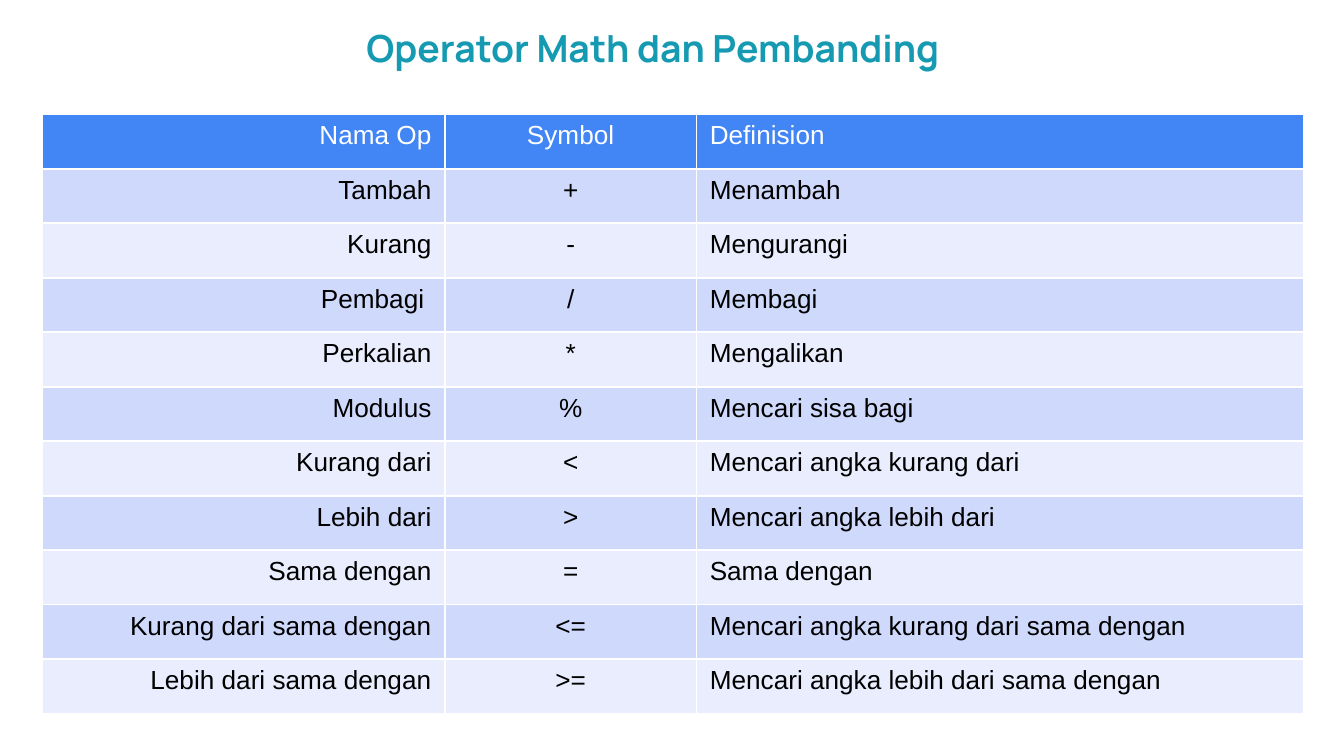
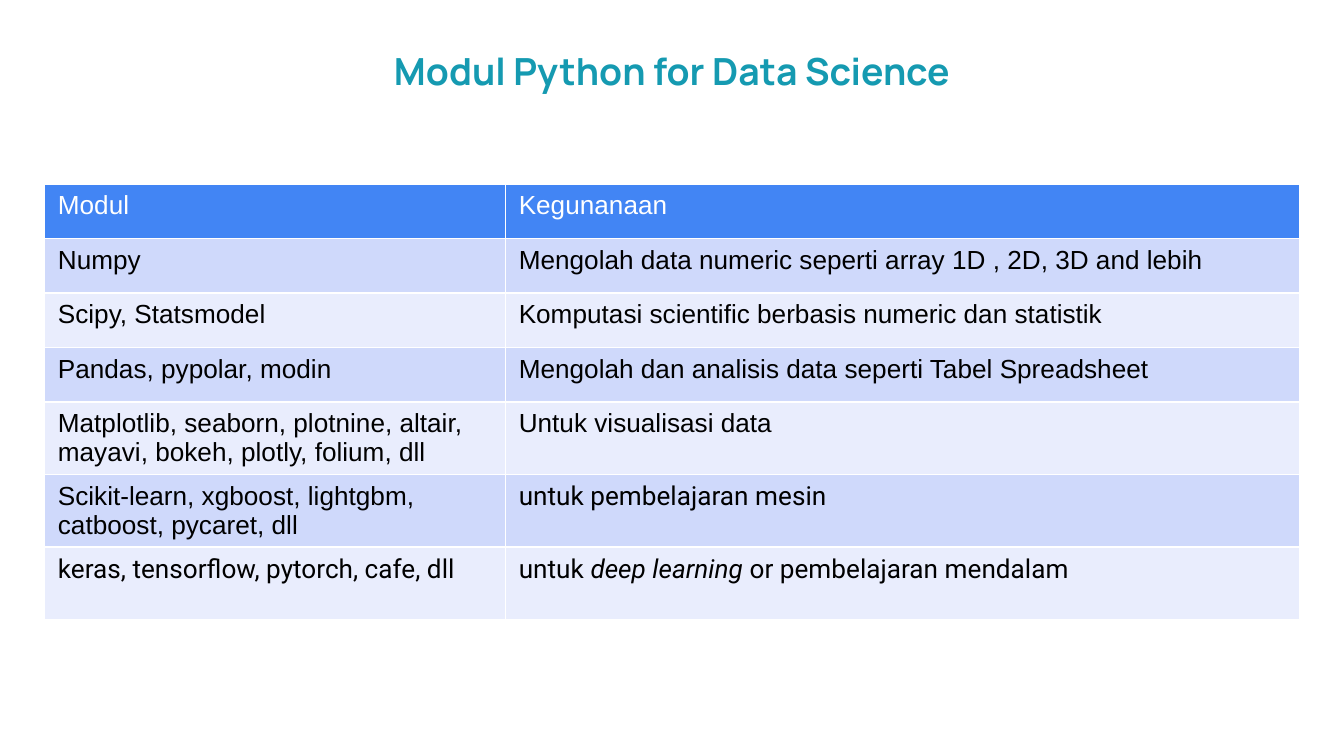
"""Build two slides of Python reference tables."""
from pptx import Presentation
from pptx import util as u
from pptx.dml.color import RGBColor
from pptx.enum import text
from pptx.oxml import parse_xml
from pptx.oxml.ns import nsdecls

THEME = {
    "teal": RGBColor.from_string("159AB1"),
    "white": RGBColor.from_string("FFFFFF"),
    "black": RGBColor.from_string("000000"),
    "header": RGBColor.from_string("4285F4"),
    "bands": [RGBColor.from_string("CFD9FB"), RGBColor.from_string("E9EDFD")],
    "title_font": "Manrope",
    "body_font": "Arial",
    "alt_font": "Roboto",
    "title_size": u.Pt(20),
    "body_size": u.Pt(14),
    "border": u.Pt(1),
}
LEFT, CENTER, RIGHT = text.PP_ALIGN.LEFT, text.PP_ALIGN.CENTER, text.PP_ALIGN.RIGHT
ALT = {"name": THEME["alt_font"]}
ALT_ITALIC = {**ALT, "italic": True}
ROW, TALL_ROW = 1.03, 1.37

SLIDES = [
    {
        "title": "Operator Math dan Pembanding",
        "title_at": (5.38, 0.38),
        "table_at": (0.79, 2.16),
        "widths": [7.62, 4.75, 11.48],
        "heights": [ROW] * 11,
        "aligns": [RIGHT, CENTER, LEFT],
        "rows": [
            ["Nama Op", "Symbol", "Definision"],
            ["Tambah", "+", "Menambah"],
            ["Kurang", "-", "Mengurangi"],
            ["Pembagi ", "/", "Membagi"],
            ["Perkalian", "*", "Mengalikan"],
            ["Modulus", "%", "Mencari sisa bagi"],
            ["Kurang dari", "<", "Mencari angka kurang dari"],
            ["Lebih dari", ">", "Mencari angka lebih dari"],
            ["Sama dengan", "=", "Sama dengan"],
            ["Kurang dari sama dengan", "<=", "Mencari angka kurang dari sama dengan"],
            ["Lebih dari sama dengan", ">=", "Mencari angka lebih dari sama dengan"],
        ],
    },
    {
        "title": "Modul Python for Data Science",
        "title_at": (5.74, 0.81),
        "table_at": (0.84, 3.48),
        "widths": [8.71, 15.01],
        "heights": [ROW] * 4 + [TALL_ROW] * 3,
        "aligns": [LEFT, LEFT],
        "rows": [
            ["Modul", "Kegunanaan"],
            ["Numpy", "Mengolah data numeric seperti array 1D , 2D, 3D and lebih"],
            ["Scipy, Statsmodel", "Komputasi scientific berbasis numeric dan statistik"],
            ["Pandas, pypolar, modin", "Mengolah dan analisis data seperti Tabel Spreadsheet"],
            ["Matplotlib, seaborn, plotnine, altair, mayavi, bokeh, plotly, folium, dll",
             "Untuk visualisasi data"],
            ["Scikit-learn, xgboost, lightgbm, catboost, pycaret, dll",
             [("untuk pembelajaran mesin", ALT)]],
            [[("keras, tensorflow, pytorch, cafe, dll", ALT)],
             [("untuk ", ALT), ("deep learning", ALT_ITALIC),
              (" or pembelajaran mendalam", ALT)]],
        ],
    },
]


def add_run(p, words, color, **formats):
    """Append a formatted run to a paragraph."""
    r = p.add_run()
    r.text = words
    r.font.color.rgb = color
    for key, value in formats.items():
        setattr(r.font, key, value)


def style_cell(cell, fill):
    """Give a cell its white borders and its fill."""
    tc_pr = cell._tc.get_or_add_tcPr()
    for side in ("lnL", "lnR", "lnT", "lnB"):
        tc_pr.append(parse_xml(
            f'<a:{side} {nsdecls("a")} w="{THEME["border"]}"><a:solidFill>'
            f'<a:srgbClr val="{THEME["white"]}"/></a:solidFill></a:{side}>'))
    cell.fill.solid()
    cell.fill.fore_color.rgb = fill


prs = Presentation()
prs.slide_width, prs.slide_height = u.Cm(25.4), u.Cm(14.29)

for page in SLIDES:
    s = prs.slides.add_slide(prs.slide_layouts[5])

    sp = s.shapes.title
    sp.left, sp.top = map(u.Cm, page["title_at"])
    sp.width, sp.height = u.Cm(13.92), u.Cm(1.27)
    tf = sp.text_frame
    frame_format = {
        "margin_left": u.Cm(0.18), "margin_right": u.Cm(0.18),
        "margin_top": u.Cm(0.1), "margin_bottom": u.Cm(0.1),
        "vertical_anchor": text.MSO_ANCHOR.TOP,
        "auto_size": text.MSO_AUTO_SIZE.NONE, "word_wrap": True,
    }
    for key, value in frame_format.items():
        setattr(tf, key, value)
    p = tf.paragraphs[0]
    p.alignment, p.space_after = CENTER, u.Pt(12)
    add_run(p, page["title"], THEME["teal"], name=THEME["title_font"],
            size=THEME["title_size"], bold=True)

    rows, widths, heights = page["rows"], page["widths"], page["heights"]
    table = s.shapes.add_table(
        len(rows), len(widths), *map(u.Cm, page["table_at"]),
        u.Cm(sum(widths)), u.Cm(sum(heights))).table
    table.horz_banding = False
    for column, width in zip(table.columns, widths):
        column.width = u.Cm(width)
    for i, (row, height) in enumerate(zip(rows, heights)):
        table.rows[i].height = u.Cm(height)
        fill = THEME["bands"][(i - 1) % 2] if i else THEME["header"]
        color = THEME["black"] if i else THEME["white"]
        for j, content in enumerate(row):
            cell = table.cell(i, j)
            style_cell(cell, fill)
            p = cell.text_frame.paragraphs[0]
            p.alignment = page["aligns"][j]
            runs = [(content, {})] if isinstance(content, str) else content
            for words, formats in runs:
                base = {"name": THEME["body_font"], "size": THEME["body_size"],
                        "bold": False}
                add_run(p, words, color, **{**base, **formats})

prs.save("out.pptx")
